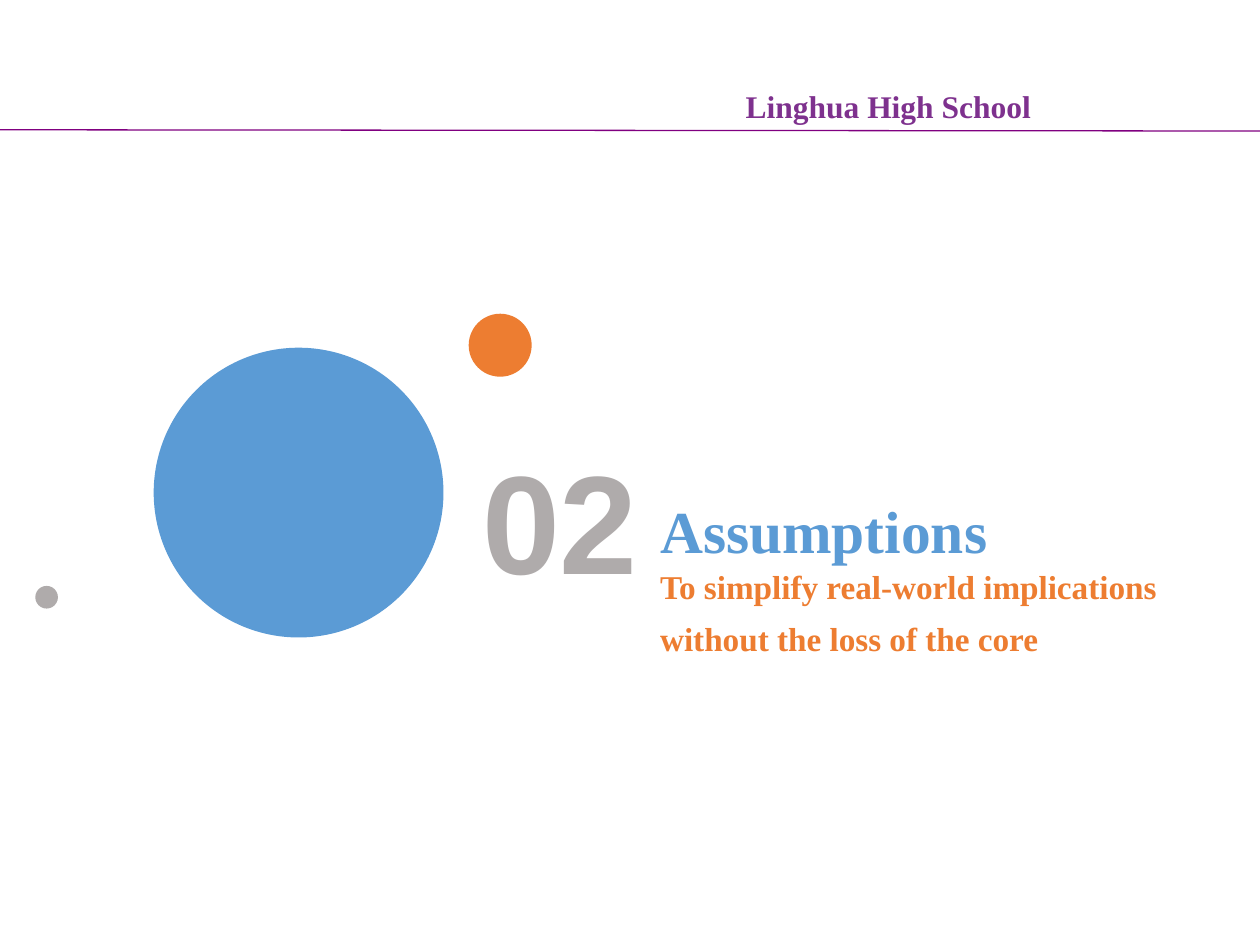
from lxml.etree import SubElement
from pptx import Presentation
from pptx.dml.color import RGBColor
from pptx.enum.shapes import MSO_CONNECTOR, MSO_SHAPE
from pptx.enum.text import MSO_AUTO_SIZE, PP_ALIGN
from pptx.oxml.ns import qn
from pptx.util import Inches, Pt

COLORS = {"purple": "7E318E", "rule": "800080", "blue": "5B9BD5",
          "gray": "AFABAB", "orange": "ED7D31"}
SERIF, SANS = "Times New Roman", "Arial"

# Circles: left, top, diameter, color
CIRCLES = [
    (1.22, 2.76, 2.3, "blue"),
    (0.28, 4.65, 0.18, "gray"),
    (3.72, 2.49, 0.5, "orange"),
]

# Texts: wording, box, font, size, color, then frame and paragraph formats
TEXTS = [
    ("Linghua High School", (5.82, 0.64, 2.56, 0.4), SERIF, 18, "purple",
     {"word_wrap": False}, {}),
    ("02", (3.53, 3.4, 1.83, 1.45), SANS, 80, "gray",
     {}, {"alignment": PP_ALIGN.CENTER}),
    ("Assumptions", (5.24, 3.75, 4.55, 0.67), SERIF, 34, "blue",
     dict.fromkeys(("margin_left", "margin_top", "margin_right",
                    "margin_bottom"), 0), {"line_spacing": 1.3}),
    ("To simplify real-world implications without the loss of the core",
     (5.14, 4.35, 4.35, 0.89), SERIF, 19, "orange",
     {}, {"line_spacing": 1.3}),
]


def rgb(name):
    return RGBColor.from_string(COLORS[name])


def set_attrs(obj, values):
    for key, value in values.items():
        setattr(obj, key, value)


def add_circle(slide, left, top, size, color):
    sp = slide.shapes.add_shape(
        MSO_SHAPE.OVAL, *map(Inches, (left, top, size, size)))
    sp.shadow.inherit = False
    sp.fill.solid()
    sp.fill.fore_color.rgb = rgb(color)
    sp.line.fill.background()


def add_text(slide, text, box, font, size, color, frame, para):
    tf = slide.shapes.add_textbox(*map(Inches, box)).text_frame
    set_attrs(tf, {"word_wrap": True,
                   "auto_size": MSO_AUTO_SIZE.SHAPE_TO_FIT_TEXT, **frame})
    p = tf.paragraphs[0]
    set_attrs(p, para)
    r = p.add_run()
    r.text = text
    set_attrs(r.font, {"name": font, "size": Pt(size), "bold": True})
    r.font.color.rgb = rgb(color)


prs = Presentation()
prs.slide_width, prs.slide_height = Inches(10), Inches(7.5)
slide = prs.slides.add_slide(prs.slide_layouts[6])

# Header rule
rule = slide.shapes.add_connector(
    MSO_CONNECTOR.STRAIGHT, *map(Inches, (0, 1.03, 10, 1.04)))
rule.line.color.rgb = rgb("rule")
rule.line.width = Pt(0.75)
SubElement(rule.element.spPr, qn("a:effectLst"))

# Circles, then header, section number, title and subtitle
for circle in CIRCLES:
    add_circle(slide, *circle)
for item in TEXTS:
    add_text(slide, *item)

prs.save("out.pptx")
